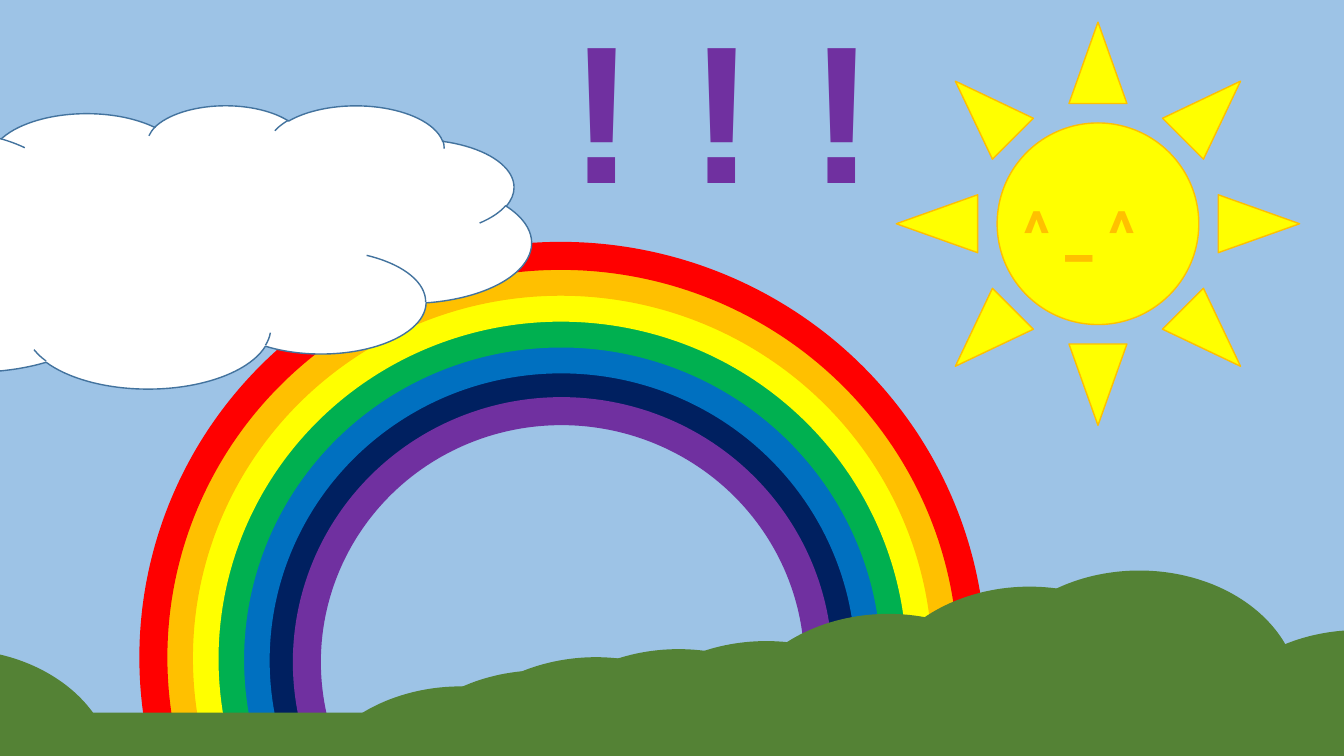
import dataclasses

import pptx
import pptx.dml.color
import pptx.enum.shapes
import pptx.enum.text
import pptx.util

SHAPES = pptx.enum.shapes.MSO_SHAPE
ALIGN = pptx.enum.text.PP_ALIGN


@dataclasses.dataclass(frozen=True)
class Theme:
    sky: str = "9DC3E6"
    grass: str = "548235"
    cloud: str = "FFFFFF"
    cloud_edge: str = "43739E"
    red: str = "FF0000"
    orange: str = "FFC000"
    yellow: str = "FFFF00"
    green: str = "00B050"
    blue: str = "0070C0"
    indigo: str = "002060"
    violet: str = "7030A0"
    face_font: str = "Roboto"
    cheer_font: str = "Arial"
    face_size: int = 44
    cheer_size: int = 140
    outline: int = 1
    band: int = 20


class Scene:
    COLUMNS = 13.33
    ROWS = 7.5

    def __init__(self, theme):
        self.theme = theme
        self.deck = pptx.Presentation()
        self.deck.slide_width = pptx.util.Inches(self.COLUMNS)
        self.deck.slide_height = pptx.util.Inches(self.ROWS)
        self.slide = self.deck.slides.add_slide(self.deck.slide_layouts[6])
        self.paint(self.slide.background.fill, theme.sky)

    def paint(self, fill, color):
        fill.solid()
        fill.fore_color.rgb = pptx.dml.color.RGBColor.from_string(color)

    def cells(self, left, top, width, height):
        column = self.deck.slide_width / self.COLUMNS
        row = self.deck.slide_height / self.ROWS
        return [round(n * unit) for n, unit in
                ((left, column), (top, row), (width, column), (height, row))]

    def shape(self, kind, box, fill=None, line=None, weight=None, parent=None):
        holder = parent or self.slide
        figure = holder.shapes.add_shape(kind, *self.cells(*box))
        figure.shadow.inherit = False
        if fill:
            self.paint(figure.fill, fill)
        else:
            figure.fill.background()
        if line:
            self.paint(figure.line.fill, line)
            figure.line.width = pptx.util.Pt(weight or self.theme.outline)
        else:
            figure.line.fill.background()
        return figure

    def rainbow(self, center, inner_top, outer_top, inner_height, growth, bands):
        bow = self.slide.shapes.add_group_shape()
        rise = (inner_top - outer_top) / (len(bands) - 1)
        for ring, color in bands:
            height = inner_height + ring * growth
            width = height * 1.015
            box = (center - width / 2, inner_top - ring * rise, width, height)
            arc = self.shape(SHAPES.ARC, box, line=color,
                             weight=self.theme.band, parent=bow)
            arc.adjustments[0] = 57.13
            arc.adjustments[1] = 0
            arc.rotation = 8.7

    def hills(self, ground, width, height, corners):
        self.shape(SHAPES.RECTANGLE, ground, self.theme.grass)
        for left, top in corners:
            self.shape(SHAPES.OVAL, (left, top, width, height), self.theme.grass)

    def text(self, words, box, font, size, color, align=ALIGN.LEFT):
        frame = self.slide.shapes.add_textbox(*self.cells(*box)).text_frame
        frame.word_wrap = True
        frame.auto_size = pptx.enum.text.MSO_AUTO_SIZE.SHAPE_TO_FIT_TEXT
        frame.text = words
        line = frame.paragraphs[0]
        line.alignment = align
        style = line.runs[0].font
        style.name = font
        style.size = pptx.util.Pt(size)
        style.bold = True
        self.paint(style.fill, color)


def main():
    theme = Theme()
    scene = Scene(theme)
    scene.rainbow(
        center=5.58, inner_top=4.08, outer_top=2.54, inner_height=5, growth=0.5,
        bands=[(1, theme.indigo), (0, theme.violet), (2, theme.blue),
               (3, theme.green), (4, theme.yellow), (5, theme.orange),
               (6, theme.red)])
    scene.shape(SHAPES.CLOUD, (-2.51, 1.04, 7.78, 2.81),
                theme.cloud, theme.cloud_edge)
    scene.hills(
        ground=(-0.2, 7.07, 12.41, 1.08), width=3.18, height=2.49,
        corners=[(11.89, 6.25), (6.01, 6.36), (7.22, 6.09), (9.71, 5.66),
                 (8.62, 5.82), (5.14, 6.44), (4.32, 6.52), (3.78, 6.65),
                 (-2.05, 6.44), (2.98, 6.81)])
    scene.shape(SHAPES.SUN, (8.89, 0.22, 4, 4), theme.yellow, theme.orange)
    scene.text("^ _ ^", (10.05, 1.87, 1.59, 0.84),
               theme.face_font, theme.face_size, theme.orange)
    scene.text("! ! !", (4.87, -0.17, 4.59, 2.46),
               theme.cheer_font, theme.cheer_size, theme.violet, ALIGN.CENTER)
    scene.deck.save("out.pptx")


if __name__ == "__main__":
    main()
